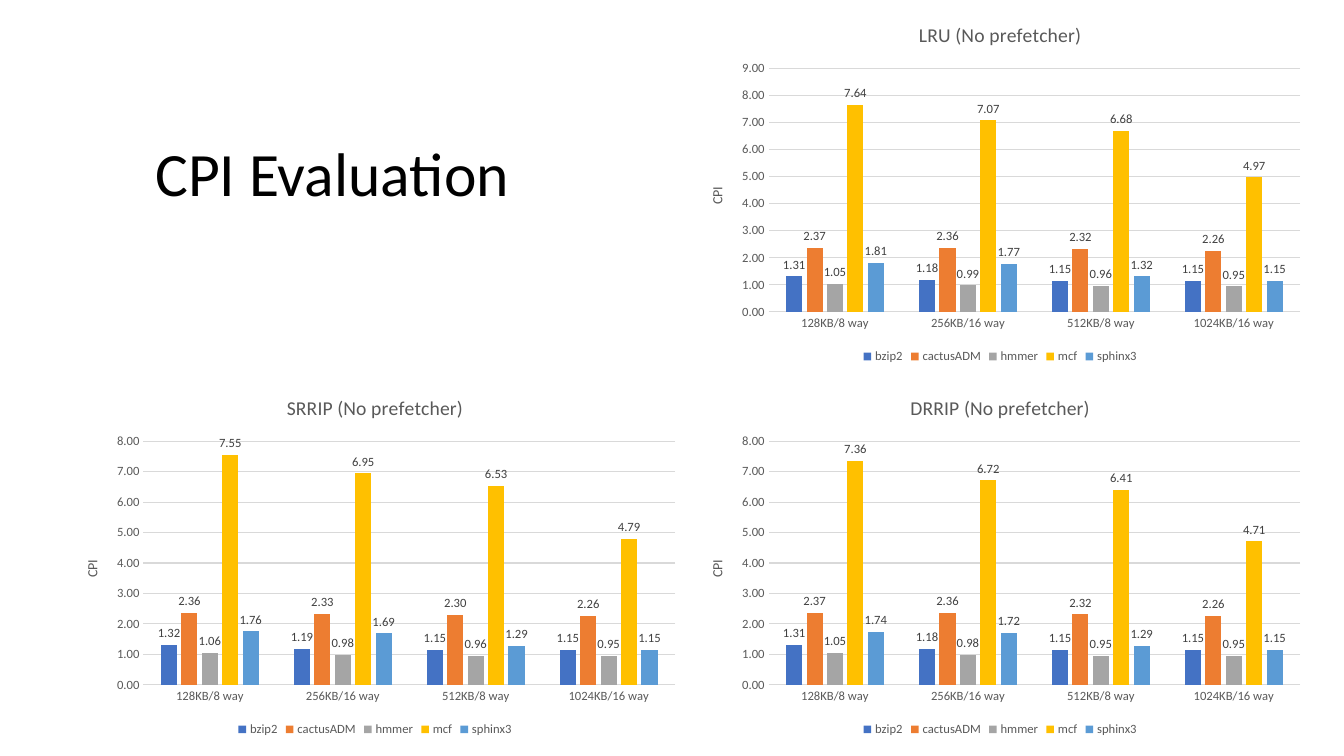
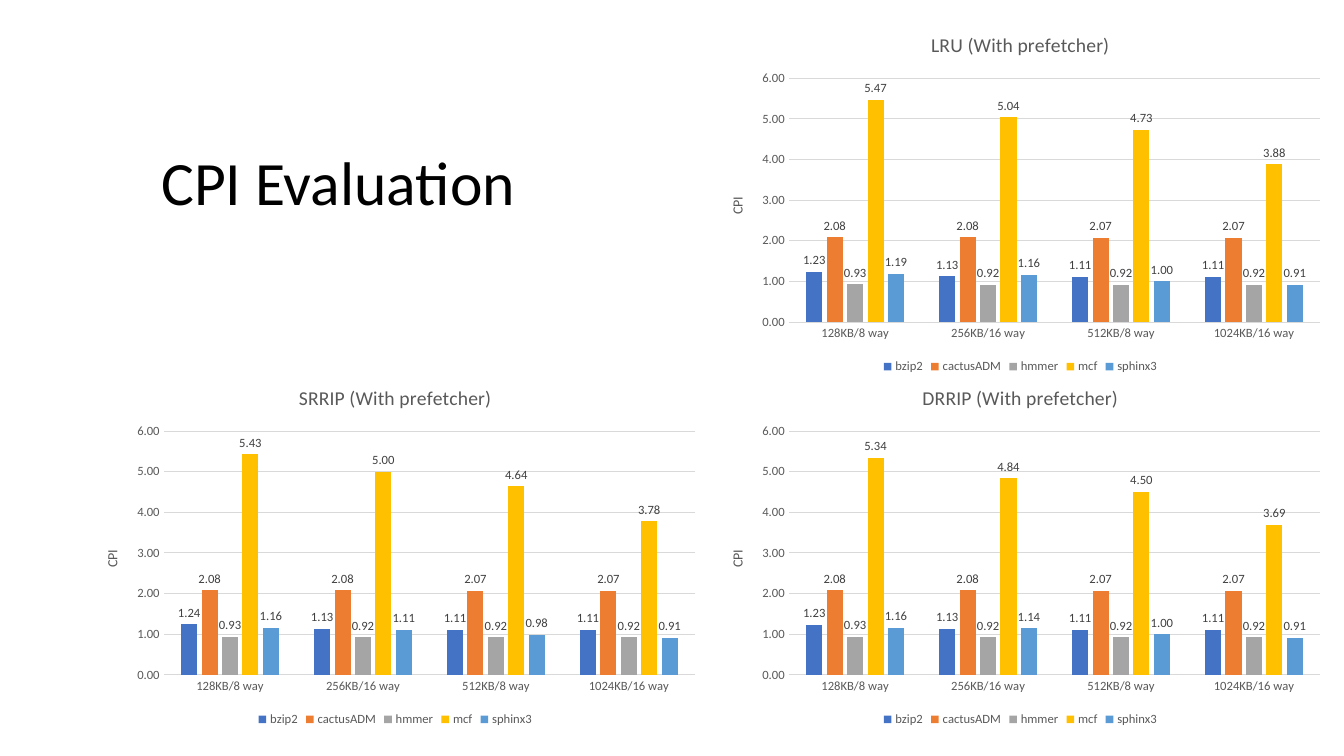
from pptx import Presentation
from pptx import util as u
from pptx.chart import data as chart_data
from pptx.dml import color as dml
from pptx.enum import chart as ch, text

FONT = "Calibri"
BLACK, GREY, LABEL, RULE = "000000", "595959", "404040", "D9D9D9"
CACHES = ["128KB/8 way", "256KB/16 way", "512KB/8 way", "1024KB/16 way"]
BENCHMARKS = {"bzip2": "4472C4", "cactusADM": "ED7D31", "hmmer": "A5A5A5",
              "mcf": "FFC000", "sphinx3": "5B9BD5"}
CHART_W, CHART_H = 6.2, 3.6
TITLE_W, TITLE_H = 11.5, 1.45

# Each policy: CPI per benchmark, one value per cache size
NO_PREFETCH = {
    "DRRIP": [(1.31, 1.18, 1.15, 1.15), (2.37, 2.36, 2.32, 2.26),
              (1.05, 0.98, 0.95, 0.95), (7.36, 6.72, 6.41, 4.71),
              (1.74, 1.72, 1.29, 1.15)],
    "SRRIP": [(1.32, 1.19, 1.15, 1.15), (2.36, 2.33, 2.3, 2.26),
              (1.06, 0.98, 0.96, 0.95), (7.55, 6.95, 6.53, 4.79),
              (1.76, 1.69, 1.29, 1.15)],
    "LRU": [(1.31, 1.18, 1.15, 1.15), (2.37, 2.36, 2.32, 2.26),
            (1.05, 0.99, 0.96, 0.95), (7.64, 7.07, 6.68, 4.97),
            (1.81, 1.77, 1.32, 1.15)],
}
CACTUS, HMMER = (2.08, 2.08, 2.07, 2.07), (0.93, 0.92, 0.92, 0.92)
WITH_PREFETCH = {
    "DRRIP": [(1.23, 1.13, 1.11, 1.11), CACTUS, HMMER,
              (5.34, 4.84, 4.5, 3.69), (1.16, 1.14, 1, 0.91)],
    "SRRIP": [(1.24, 1.13, 1.11, 1.11), CACTUS, HMMER,
              (5.43, 5, 4.64, 3.78), (1.16, 1.11, 0.98, 0.91)],
    "LRU": [(1.23, 1.13, 1.11, 1.11), CACTUS, HMMER,
            (5.47, 5.04, 4.73, 3.88), (1.19, 1.16, 1, 0.91)],
}


def rgb(value):
    """Turn a hex string into a colour."""
    return dml.RGBColor.from_string(value)


def set_font(font, size, color):
    """Apply the shared typeface with a size and a colour."""
    font.name, font.size, font.bold = FONT, u.Pt(size), False
    font.color.rgb = rgb(color)


def write(frame, words, size=10, color=GREY, align=None, spacing=None):
    """Fill a text frame with one formatted paragraph."""
    frame.text = words
    line = frame.paragraphs[0]
    line.alignment, line.line_spacing = align, spacing
    set_font(line.runs[0].font, size, color)


def style_axes(chart, top):
    """Format both axes, with the value scale running from 0 to top."""
    caches, cpi = chart.category_axis, chart.value_axis
    for axis in (caches, cpi):
        axis.major_tick_mark = axis.minor_tick_mark = ch.XL_TICK_MARK.NONE
        set_font(axis.tick_labels.font, 9, GREY)
    cpi.minimum_scale, cpi.maximum_scale, cpi.major_unit = 0, top, 1
    cpi.tick_labels.number_format = "0.00"
    cpi.tick_labels.number_format_is_linked = False
    cpi.format.line.fill.background()
    for line in (caches.format.line, cpi.major_gridlines.format.line):
        line.color.rgb, line.width = rgb(RULE), u.Pt(0.75)
    write(cpi.axis_title.text_frame, "CPI")


def style_bars(plot):
    """Colour each benchmark's bars and show their values."""
    plot.gap_width, plot.overlap, plot.vary_by_categories = 219, -27, False
    for bars, color in zip(plot.series, BENCHMARKS.values()):
        bars.format.fill.solid()
        bars.format.fill.fore_color.rgb = rgb(color)
        bars.invert_if_negative = False
        labels = bars.data_labels
        labels.show_value = True
        labels.position = ch.XL_LABEL_POSITION.OUTSIDE_END
        labels.number_format, labels.number_format_is_linked = "0.00", False
        set_font(labels.font, 9, LABEL)


def add_cpi_chart(slide, left, top, heading, results):
    """Place one CPI column chart with its corner at left, top."""
    cpi = chart_data.CategoryChartData(number_format="0.00")
    cpi.categories = CACHES
    for benchmark, values in zip(BENCHMARKS, results):
        cpi.add_series(benchmark, values)
    chart = slide.shapes.add_chart(
        ch.XL_CHART_TYPE.COLUMN_CLUSTERED, u.Inches(left), u.Inches(top),
        u.Inches(CHART_W), u.Inches(CHART_H), cpi).chart
    set_font(chart.font, 10, BLACK)
    write(chart.chart_title.text_frame, heading, size=14)
    chart.has_legend = True
    chart.legend.position = ch.XL_LEGEND_POSITION.BOTTOM
    chart.legend.include_in_layout = False
    set_font(chart.legend.font, 9, GREY)
    style_axes(chart, int(max(map(max, results))) + (1 if max(map(max, results)) < 7.6 else 2))
    style_bars(chart.plots[0])


def add_title(slide, left, top):
    """Move the title placeholder to left, top and fill it."""
    title = slide.shapes.title
    title.left, title.top = u.Inches(left), u.Inches(top)
    title.width, title.height = u.Inches(TITLE_W), u.Inches(TITLE_H)
    title.text_frame.vertical_anchor = text.MSO_ANCHOR.MIDDLE
    write(title.text_frame, "CPI Evaluation", size=44, color=BLACK,
          align=text.PP_ALIGN.LEFT, spacing=0.9)


def add_evaluation(deck, title_at, left, rows, condition, policies):
    """Build a slide with a title and three charts on a two by two grid."""
    slide = deck.slides.add_slide(deck.slide_layouts[5])
    add_title(slide, *title_at)
    cells = {"DRRIP": (1, 1), "SRRIP": (0, 1), "LRU": (1, 0)}
    for policy, results in policies.items():
        column, row = cells[policy]
        add_cpi_chart(slide, left + column * CHART_W, rows[row],
                      f"{policy} ({condition} prefetcher)", results)


deck = Presentation()
deck.slide_width, deck.slide_height = u.Inches(13.33), u.Inches(7.5)
add_evaluation(deck, (1.44, 1.03), 0.62, (0.05, 3.75), "No", NO_PREFETCH)
add_evaluation(deck, (1.5, 1.12), 0.82, (0.15, 3.65), "With", WITH_PREFETCH)
deck.save("out.pptx")
